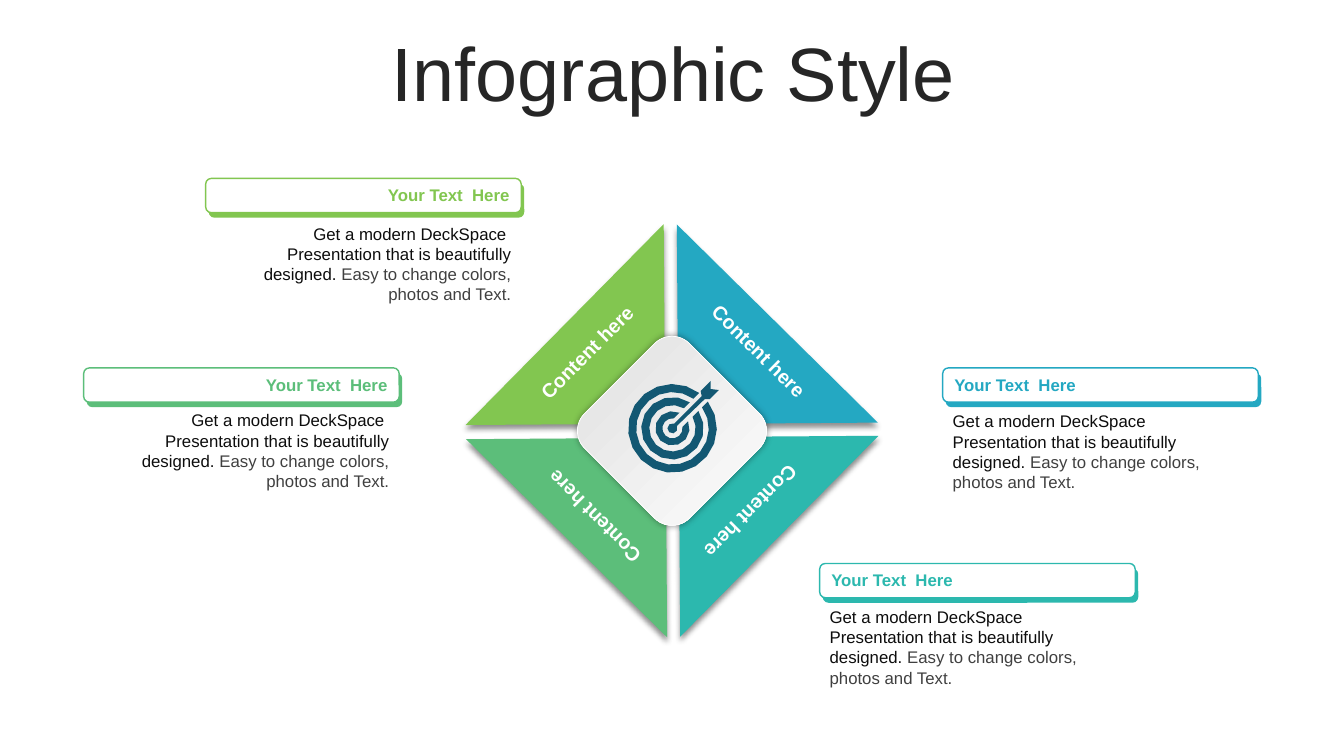
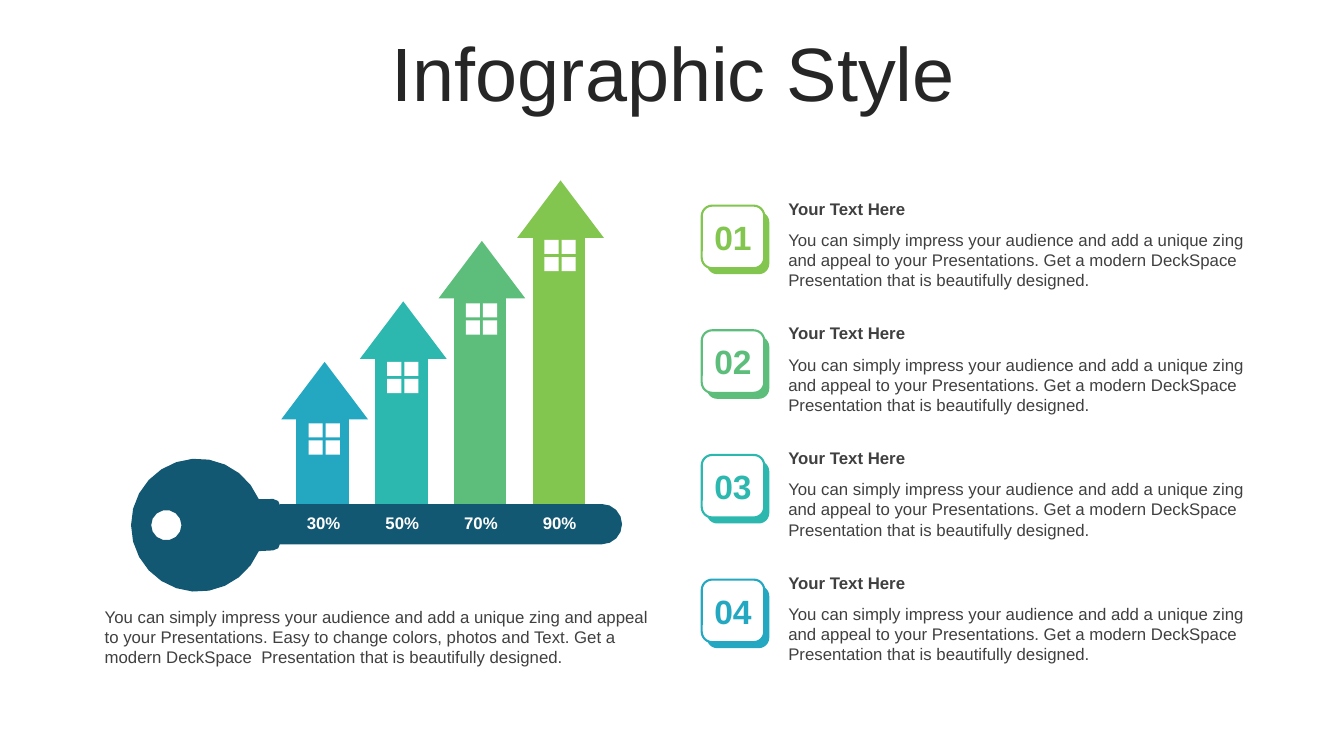
from math import asin, cos, degrees, radians, sin

from lxml import etree
from pptx import Presentation
from pptx.chart.data import CategoryChartData
from pptx.dml.color import RGBColor
from pptx.enum.chart import XL_CHART_TYPE as ChartKind
from pptx.enum.shapes import MSO_SHAPE as Preset
from pptx.enum.text import MSO_ANCHOR as Anchor, PP_ALIGN as Align
from pptx.oxml.ns import qn
from pptx.util import Inches, Pt

FONT = "Arial"
COLORS = {
    "green": "82C650", "mint": "5CBE7A", "teal": "2CB8AE", "blue": "24A8C2",
    "navy": "135873", "white": "FFFFFF", "silver": "DEDEDE", "black": "000000",
    "title": "262626", "ink": "0D0D0D", "gray": "404040",
}
TITLE = "Infographic Style"

# Slide 1: colour, wedge position, wedge turn, label position, label turn
WEDGES = [
    ("teal", (6.74, 4.33), 89.6, (6.41, 4.91), 135),
    ("blue", (6.72, 2.22), 359.6, (6.49, 3.31), 44.5),
    ("green", (4.61, 2.23), 269.6, (4.78, 3.32), 315),
    ("mint", (4.63, 4.35), 179.6, (4.85, 4.96), 225),
]
WEDGE_SIZE = 1.98
WEDGE_LABEL = "Content here"

# Colour, left, header top, body top, alignment
CALLOUTS = [
    ("green", 2.04, 1.77, 2.17, Align.RIGHT),
    ("teal", 8.13, 5.59, 5.97, Align.LEFT),
    ("mint", 0.83, 3.65, 4.02, Align.RIGHT),
    ("blue", 9.35, 3.65, 4.03, Align.LEFT),
]
CALLOUT_WIDTH, CALLOUT_BODY_WIDTH = 3.13, 3.11
CALLOUT_HEAD = "Your Text  Here"
CALLOUT_BODY = [
    ("Get a modern DeckSpace  Presentation that is beautifully designed. ", "ink"),
    ("Easy to change colors, photos and Text.", "gray"),
]

TARGET = (6.67, 4.25)
RINGS = [(0.36, 0.44), (0.23, 0.31), (0.1, 0.17)]
RING_GAP = 0.06
DART = [(6.68, 4.21), (6.96, 3.93), (6.95, 3.88), (7.05, 3.78), (7.05, 3.86),
        (7.13, 3.87), (7.04, 3.96), (6.99, 3.96), (6.71, 4.23)]

# Slide 2: colour, bar value, label, window top
HOUSES = [
    ("blue", 33, "30%", 4.2),
    ("teal", 56, "50%", 3.59),
    ("mint", 78, "70%", 3.01),
    ("green", 100, "90%", 2.38),
]
HOUSE_STEP, ROOF_RISE = 0.78, 0.6
PANE, PANE_STEP = 0.14, 0.17
PLOT_LAYOUT = {"layoutTarget": "inner", "xMode": "edge", "yMode": "edge",
               "x": 0.03, "y": 0.03, "w": 0.95, "h": 0.92}

ITEMS = [("01", "green"), ("02", "mint"), ("03", "teal"), ("04", "blue")]
ITEM_TOP, ITEM_LAST_TOP, TILE = 1.92, 5.63, 0.62
ITEM_HEAD = "Your Text Here"
ITEM_BODY = ("You can simply impress your audience and add a unique zing and appeal to your "
             "Presentations. Get a modern DeckSpace  Presentation that is beautifully designed.")
KEY_NOTE = ("You can simply impress your audience and add a unique zing and appeal to your "
            "Presentations. Easy to change colors, photos and Text. Get a modern DeckSpace  "
            "Presentation that is beautifully designed.")


def rgb(name):
    return RGBColor.from_string(COLORS[name])


def place(*lengths):
    return [Inches(length) for length in lengths]


def write(shape, spans, size, align=Align.LEFT, bold=False, anchor=Anchor.TOP):
    """Fill a shape with one paragraph of (text, colour) spans."""
    frame = shape.text_frame
    frame.word_wrap = True
    frame.vertical_anchor = anchor
    para = frame.paragraphs[0]
    para.alignment = align
    for text, color in spans:
        span = para.add_run()
        span.text = text
        span.font.name = FONT
        span.font.size = Pt(size)
        span.font.bold = bold
        span.font.color.rgb = rgb(color)
    return para


def add_text(page, at, spans, size=12, turn=0, **style):
    box = page.shapes.add_textbox(*place(*at))
    box.rotation = turn
    return write(box, spans, size, **style)


def paint(shape, fill, line=None, width=1):
    shape.shadow.inherit = False
    shape.fill.solid()
    shape.fill.fore_color.rgb = rgb(fill)
    if line:
        shape.line.color.rgb = rgb(line)
        shape.line.width = Pt(width)
    else:
        shape.line.fill.background()


def add_preset(page, preset, at, fill, line=None, width=1, turn=0):
    shape = page.shapes.add_shape(preset, *place(*at))
    shape.rotation = turn
    paint(shape, fill, line, width)
    return shape


def cast_shadow(shape, opacity, blur, distance, angle):
    effects = shape._element.spPr.find(qn("a:effectLst"))
    outer = etree.SubElement(effects, qn("a:outerShdw"), blurRad=str(Pt(blur)),
                             dist=str(Pt(distance)), dir=str(angle * 60000),
                             algn="ctr", rotWithShape="0")
    color = etree.SubElement(outer, qn("a:srgbClr"), val=COLORS["black"])
    etree.SubElement(color, qn("a:alpha"), val=str(opacity * 1000))


def add_outline(page, contours, fill):
    """Draw closed contours, given as points in inches, as one shape."""
    builder = None
    for contour in contours:
        start, *others = [place(*point) for point in contour]
        if builder is None:
            builder = page.shapes.build_freeform(*start)
        else:
            builder.move_to(*start)
        builder.add_line_segments(others, close=True)
    paint(builder.convert_to_shape(), fill)


def arc(center, radius, start, end, steps):
    """Points along an arc; angles in degrees, counterclockwise from the right."""
    angles = [radians(start + (end - start) * step / steps) for step in range(steps + 1)]
    return [(center[0] + radius * cos(a), center[1] - radius * sin(a)) for a in angles]


def add_raised_box(page, at, offset, color, width):
    """A white outlined box on a coloured backing; returns the white box."""
    left, top, *size = at
    right_shift, down_shift = offset
    add_preset(page, Preset.ROUNDED_RECTANGLE,
               (left + right_shift, top + down_shift, *size), color)
    return add_preset(page, Preset.ROUNDED_RECTANGLE, at, "white", color, width)


def add_page(deck):
    page = deck.slides.add_slide(deck.slide_layouts[6])
    para = add_text(page, (0.35, 0.37, 12.66, 0.79), [(TITLE, "title")], 54,
                    align=Align.CENTER, anchor=Anchor.MIDDLE)
    para.line_spacing = 0.9
    para.runs[0].font._element.set("kern", "1200")
    return page


def add_target(page):
    contours = []
    for (inner, outer), steps in zip(RINGS, (18, 14, 10)):
        contour = []
        for radius, forward in ((outer, True), (inner, False)):
            half_gap = degrees(asin(RING_GAP / radius))
            edge = arc(TARGET, radius, 45 + half_gap, 405 - half_gap, steps)
            contour += edge if forward else edge[::-1]
        contours.append(contour)
    contours.append(DART + arc(TARGET, 0.05, 25, -285, 6))
    add_outline(page, contours, "navy")


def build_diamond(deck):
    page = add_page(deck)
    for color, corner, turn, _, _ in WEDGES:
        wedge = add_preset(page, Preset.RIGHT_TRIANGLE, (*corner, WEDGE_SIZE, WEDGE_SIZE),
                           color, turn=turn)
        cast_shadow(wedge, 43, 4, 3, 90)
    hub = add_preset(page, Preset.ROUNDED_RECTANGLE, (5.93, 3.54, 1.47, 1.47),
                     "white", "white", 0.5, 45)
    hub.fill.gradient()
    hub.fill.gradient_angle = 0
    for stop, color in zip(hub.fill.gradient_stops, ("silver", "white")):
        stop.color.rgb = rgb(color)
    cast_shadow(hub, 40, 5, 0, 0)
    for _, _, _, corner, turn in WEDGES:
        add_text(page, (*corner, 2.08, 0.34), [(WEDGE_LABEL, "white")], 14, turn,
                 align=Align.CENTER, bold=True, anchor=Anchor.MIDDLE)
    add_target(page)
    for color, left, top, body_top, align in CALLOUTS:
        header = add_raised_box(page, (left, top, CALLOUT_WIDTH, 0.34), (0.03, 0.05), color, 1)
        write(header, [(CALLOUT_HEAD, color)], 12, align, True)
        inset = CALLOUT_WIDTH - CALLOUT_BODY_WIDTH if align == Align.RIGHT else 0
        add_text(page, (left + inset, body_top, CALLOUT_BODY_WIDTH, 0.91), CALLOUT_BODY,
                 align=align)


def add_bars(page):
    data = CategoryChartData()
    data.categories = [str(number + 1) for number in range(len(HOUSES))]
    data.add_series("Series 1", [value for _, value, _, _ in HOUSES])
    chart = page.shapes.add_chart(ChartKind.COLUMN_STACKED,
                                  *place(2.71, 1.94, 3.29, 3.25), data).chart
    chart.has_legend = False
    chart.has_title = False
    chart.font.name = FONT
    chart.font.size = Pt(18)
    chart.font.color.rgb = rgb("black")
    chart.category_axis.visible = False
    scale = chart.value_axis
    scale.visible = False
    scale.has_major_gridlines = False
    scale.minimum_scale, scale.maximum_scale = 0, 110
    plot = chart.plots[0]
    plot.gap_width, plot.overlap, plot.vary_by_categories = 50, 100, False
    for index, (color, *_) in enumerate(HOUSES):
        fill = plot.series[0].points[index].format.fill
        fill.solid()
        fill.fore_color.rgb = rgb(color)
    area = chart._chartSpace.find(".//" + qn("c:plotArea"))
    for old in area.findall(qn("c:layout")):
        area.remove(old)
    layout = etree.Element(qn("c:layout"))
    manual = etree.SubElement(layout, qn("c:manualLayout"))
    for tag, value in PLOT_LAYOUT.items():
        etree.SubElement(manual, qn("c:" + tag), val=str(value))
    area.insert(0, layout)


def add_key(page):
    hole = arc((1.65, 5.21), 0.15, 360, 0, 14)
    body = (arc((1.96, 5.21), 0.66, 23, 337, 22)
            + arc((2.71, 5.39), 0.07, -90, 0, 2) + [(2.78, 5.4)]
            + arc((5.97, 5.2), 0.2, -90, 90, 8) + [(2.78, 5)]
            + arc((2.71, 5.02), 0.07, 0, 90, 2))
    add_outline(page, [hole, body], "navy")


def square(left, top, side):
    return [(left, top), (left + side, top), (left + side, top + side), (left, top + side)]


def build_key(deck):
    page = add_page(deck)
    add_bars(page)
    add_key(page)
    for index, (color, _, label, window_top) in enumerate(HOUSES):
        shift = index * HOUSE_STEP
        add_preset(page, Preset.ISOSCELES_TRIANGLE,
                   (2.79 + shift, 3.59 - index * ROOF_RISE, 0.86, 0.57), color)
        add_text(page, (2.93 + shift, 5.04, 0.56, 0.3), [(label, "white")],
                 align=Align.CENTER, bold=True, anchor=Anchor.MIDDLE)
        panes = [square(3.06 + shift + column * PANE_STEP, window_top + row * PANE_STEP, PANE)
                 for row in range(2) for column in range(2)]
        add_outline(page, panes, "white")
    add_text(page, (0.94, 5.97, 5.7, 0.71), [(KEY_NOTE, "gray")])
    step = (ITEM_LAST_TOP - ITEM_TOP) / (len(ITEMS) - 1)
    for index, (number, color) in enumerate(ITEMS):
        top = ITEM_TOP + index * step
        add_text(page, (7.72, top, 4.74, 0.3), [(ITEM_HEAD, "gray")], bold=True)
        add_text(page, (7.72, top + 0.31, 4.74, 0.71), [(ITEM_BODY, "gray")])
        tile = add_raised_box(page, (6.96, top + 0.12, TILE, TILE), (0.05, 0.06), color, 1.5)
        tile.text_frame.margin_left = tile.text_frame.margin_right = Inches(0.02)
        write(tile, [(number, color)], 24, Align.CENTER, True, Anchor.MIDDLE)


def main():
    deck = Presentation()
    deck.slide_width, deck.slide_height = place(13.33, 7.5)
    build_diamond(deck)
    build_key(deck)
    deck.save("out.pptx")


if __name__ == "__main__":
    main()
